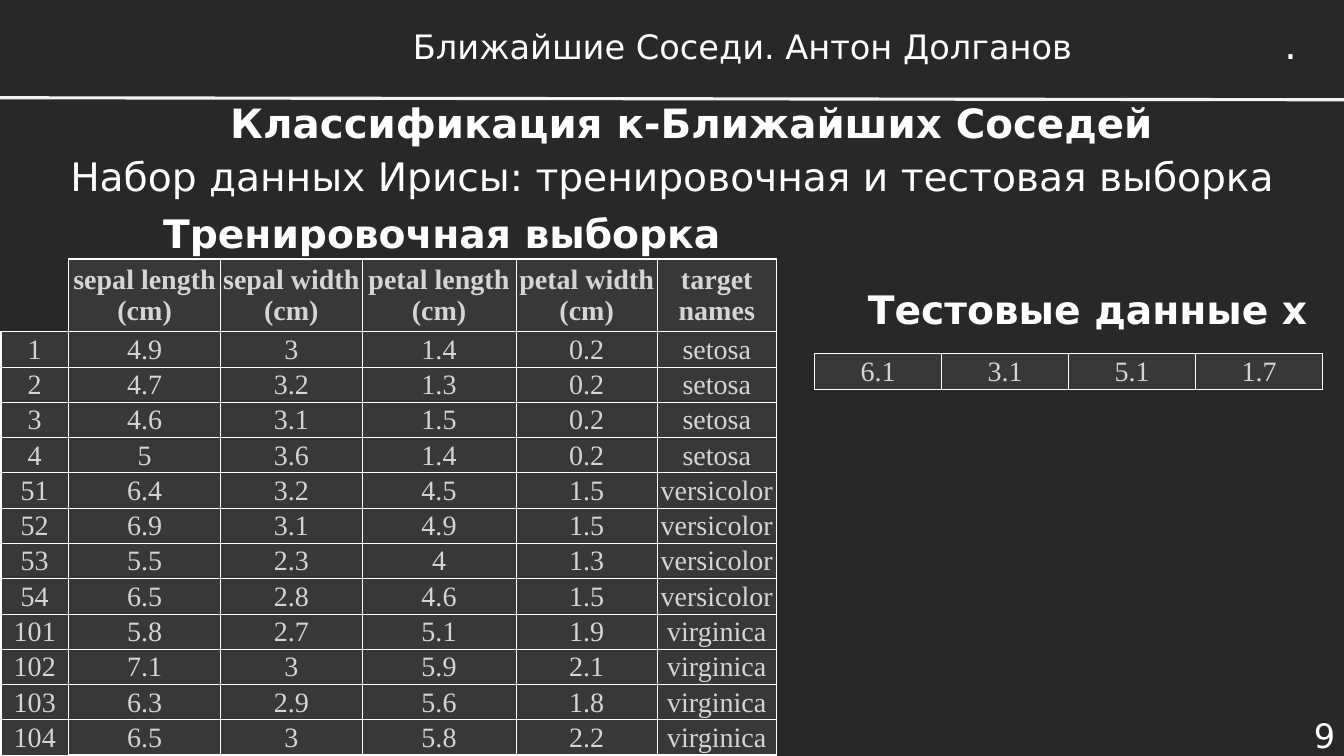
from lxml import etree
from pptx import Presentation
from pptx.dml.color import RGBColor
from pptx.enum.shapes import MSO_CONNECTOR
from pptx.enum.text import MSO_ANCHOR, MSO_AUTO_SIZE, PP_ALIGN
from pptx.oxml.ns import qn
from pptx.util import Inches, Pt

LEFT, CENTER, RIGHT = PP_ALIGN.LEFT, PP_ALIGN.CENTER, PP_ALIGN.RIGHT
TOP, MIDDLE = MSO_ANCHOR.TOP, MSO_ANCHOR.MIDDLE
STRAIGHT = MSO_CONNECTOR.STRAIGHT
NO_AUTOSIZE = MSO_AUTO_SIZE.NONE

W, H = 13.33, 7.5
BACKGROUND, WHITE, RULE = "272827", "FFFFFF", "F2F2F2"
CELL_FILL, CELL_TEXT = "383838", "D5D5D5"
SANS, SERIF = "DejaVu Sans", "Times New Roman"
ROW_H, HEADER_H, CAPTION_H = 0.35, 0.72, 0.57
THIN, THICK = 0.5, 1

FEATURES = ["", "sepal length (cm)", "sepal width (cm)", "petal length (cm)",
            "petal width (cm)", "target names"]
TRAIN = [
    ["1", "4.9", "3", "1.4", "0.2", "setosa"],
    ["2", "4.7", "3.2", "1.3", "0.2", "setosa"],
    ["3", "4.6", "3.1", "1.5", "0.2", "setosa"],
    ["4", "5", "3.6", "1.4", "0.2", "setosa"],
    ["51", "6.4", "3.2", "4.5", "1.5", "versicolor"],
    ["52", "6.9", "3.1", "4.9", "1.5", "versicolor"],
    ["53", "5.5", "2.3", "4", "1.3", "versicolor"],
    ["54", "6.5", "2.8", "4.6", "1.5", "versicolor"],
    ["101", "5.8", "2.7", "5.1", "1.9", "virginica"],
    ["102", "7.1", "3", "5.9", "2.1", "virginica"],
    ["103", "6.3", "2.9", "5.6", "1.8", "virginica"],
    ["104", "6.5", "3", "5.8", "2.2", "virginica"],
]
TEST = [["6.1", "3.1", "5.1", "1.7"]]


def rgb(color):
    return RGBColor.from_string(color)


def write(tf, text, align=LEFT, color=WHITE, **font):
    p = tf.paragraphs[0]
    p.alignment = align
    r = p.add_run()
    r.text = text
    r.font.color.rgb = rgb(color)
    for name, value in {"name": SANS, "size": Pt(28), "bold": False, **font}.items():
        setattr(r.font, name, value)


def add_text(s, box, text, anchor=TOP, wrap=False, **style):
    tf = s.shapes.add_textbox(*map(Inches, box)).text_frame
    tf.word_wrap = wrap
    tf.vertical_anchor = anchor
    write(tf, text, **style)


def set_borders(cell, widths):
    """Draw the sides L, R, T, B in points; zero leaves a side empty."""
    tc_pr = cell._tc.get_or_add_tcPr()
    for side in "LRTB":
        ln = etree.SubElement(tc_pr, qn("a:ln" + side), w=str(Pt(widths[side])))
        if widths[side]:
            fill = etree.SubElement(ln, qn("a:solidFill"))
            etree.SubElement(fill, qn("a:srgbClr"), val=WHITE)
        else:
            etree.SubElement(ln, qn("a:noFill"))


def format_cell(cell, text, widths, bold):
    set_borders(cell, widths)
    for name, value in {"margin_left": Inches(0.01), "margin_right": Inches(0.01),
                        "margin_top": Inches(0.01), "margin_bottom": 0,
                        "vertical_anchor": MIDDLE}.items():
        setattr(cell, name, value)
    if text:
        cell.fill.solid()
        cell.fill.fore_color.rgb = rgb(CELL_FILL)
        write(cell.text_frame, text, CENTER, CELL_TEXT,
              name=SERIF, size=Pt(20), bold=bold)
    else:
        cell.fill.background()


def add_grid(s, x, y, cols, rows, header=None):
    """Add a data table; with a header, its first column is the row index."""
    body = [header] + rows if header else rows
    heights = [HEADER_H if row is header else ROW_H for row in body]
    table = s.shapes.add_table(len(body), len(cols), Inches(x), Inches(y),
                               Inches(sum(cols)), Inches(sum(heights))).table
    table.first_row = table.horz_banding = False
    for column, width in zip(table.columns, cols):
        column.width = Inches(width)
    for row, height in zip(table.rows, heights):
        row.height = Inches(height)
    last_row, last_col = len(body) - 1, len(cols) - 1
    for i, row in enumerate(body):
        for j, text in enumerate(row):
            thick = {"L": j == 0, "R": False, "T": False, "B": False}
            if header:
                thick = {"L": j <= 1, "R": j in (0, last_col),
                         "T": i == 0, "B": i == last_row and j > 0}
            widths = {side: THICK if on else THIN for side, on in thick.items()}
            if not text:
                widths.update(L=0, T=0)
            format_cell(table.cell(i, j), text, widths, bold=row is header)


def running_header(s, x, y, w, h):
    add_text(s, (x + 3.44, y + 0.19, 7.85, 0.53), "Ближайшие Соседи. Антон Долганов",
             MIDDLE, True, align=CENTER, size=Pt(24))
    rule = s.shapes.add_connector(STRAIGHT, *map(Inches, (x, y + h - 0.02, x + w, y + h)))
    rule.line.color.rgb = rgb(RULE)
    rule.line.width = Pt(2.25)
    etree.SubElement(rule._element.spPr, qn("a:effectLst"))
    add_text(s, (x + w - 0.69, y + 0.15, 0.34, CAPTION_H), ".")


def headings(s, x, y, w):
    title = s.shapes.title
    box = (x + 1.94, y, 9.84, 0.91)
    for name, value in zip(("left", "top", "width", "height"), box):
        setattr(title, name, Inches(value))
    tf = title.text_frame
    tf.auto_size = NO_AUTOSIZE
    tf.vertical_anchor = MIDDLE
    write(tf, "Классификация к-Ближайших Соседей", CENTER, size=Pt(28.8), bold=True)
    add_text(s, (x + 0.58, y + 0.7, w - 1.16, CAPTION_H),
             "Набор данных Ирисы: тренировочная и тестовая выборка", align=CENTER)


def train_panel(s, x, y):
    add_grid(s, x, y + 0.54, [0.67, 1.51, 1.4, 1.53, 1.4, 1.18], TRAIN, FEATURES)
    add_text(s, (x + 1.51, y, 5.85, CAPTION_H), "Тренировочная выборка", bold=True)


def test_panel(s, x, y):
    add_grid(s, x, y + 0.73, [1.26] * 4, TEST)
    add_text(s, (x + 0.43, y, 4.6, CAPTION_H), "Тестовые данные x", bold=True)


def main():
    prs = Presentation()
    prs.slide_width, prs.slide_height = Inches(W), Inches(H)
    s = prs.slides.add_slide(prs.slide_layouts[5])
    s.background.fill.solid()
    s.background.fill.fore_color.rgb = rgb(BACKGROUND)
    headings(s, 0, 0.76, W)
    add_text(s, (W - 1.04, H - 0.42, 1.05, 0.42), "9", MIDDLE, True,
             align=RIGHT, size=Pt(24))
    running_header(s, 0, 0, W, 0.99)
    train_panel(s, 0.01, 2.03)
    test_panel(s, 8.08, 2.78)
    prs.save("out.pptx")


if __name__ == "__main__":
    main()
